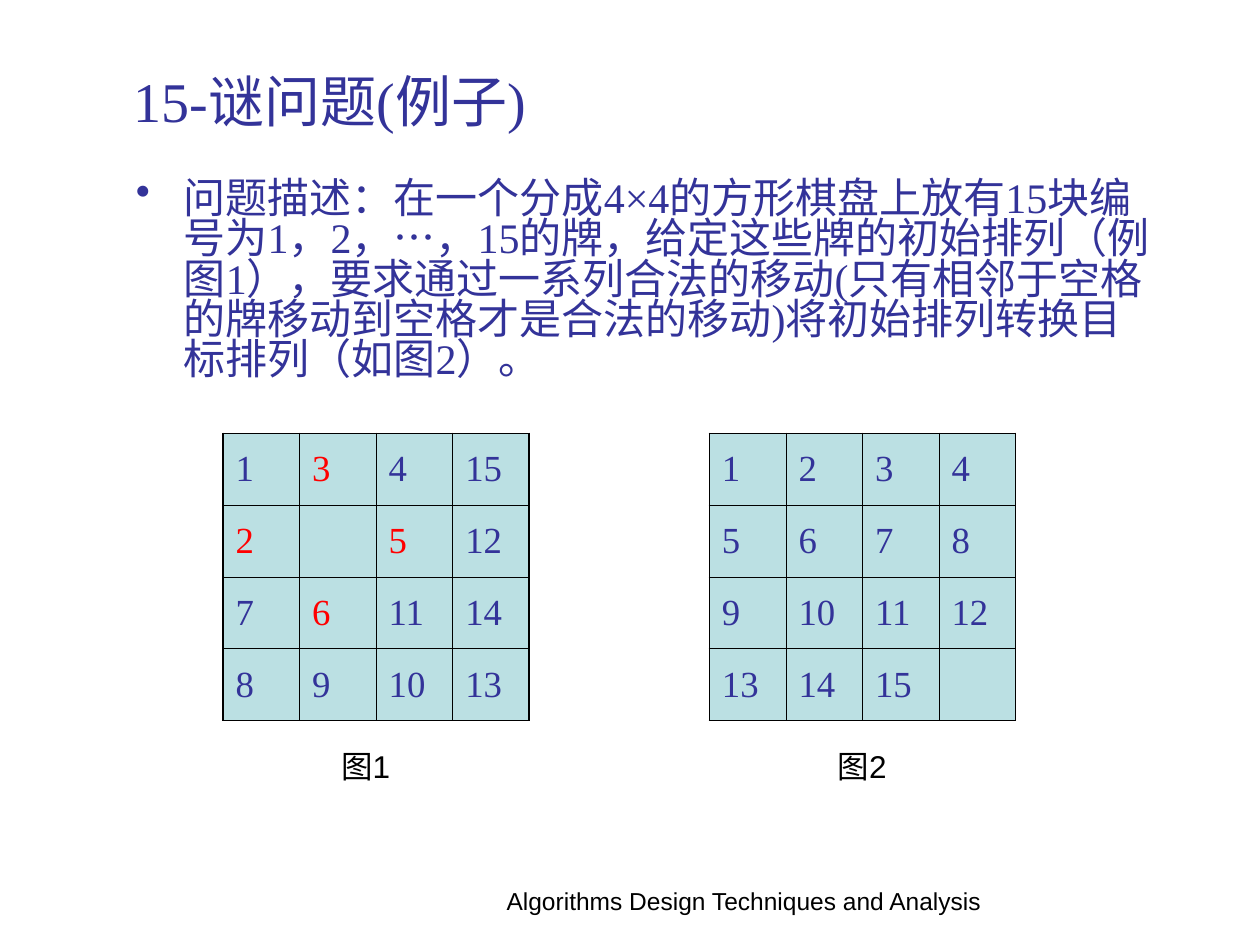
from lxml.etree import SubElement
from pptx import Presentation
from pptx.dml.color import RGBColor
from pptx.enum.text import MSO_ANCHOR, PP_ALIGN
from pptx.oxml.ns import qn
from pptx.util import Inches, Pt

COLORS = {"text": "333399", "moved": "FF0000", "tile": "BBE0E3", "line": "000000"}
SERIF, SANS = "Times New Roman", "Arial"
SIZE = 4


def write(frame, text, size, font, color, align=PP_ALIGN.LEFT):
    frame.text = text
    para = frame.paragraphs[0]
    para.alignment = align
    for span in para.runs:
        span.font.size = Pt(size)
        span.font.name = font
        span.font.color.rgb = RGBColor.from_string(COLORS[color])
    return para


def add_border(cell, side, width):
    line = SubElement(cell._tc.get_or_add_tcPr(), qn(f"a:ln{side}"), w=str(Pt(width)))
    fill = SubElement(line, qn("a:solidFill"))
    SubElement(fill, qn("a:srgbClr"), val=COLORS["line"])


deck = Presentation()
deck.slide_width, deck.slide_height = Inches(10), Inches(7.5)
page = deck.slides.add_slide(deck.slide_layouts[5])

title = page.shapes.title
title.left, title.top = Inches(0.96), Inches(0.29)
title.width, title.height = Inches(8.61), Inches(1.01)
title.text_frame.vertical_anchor = MSO_ANCHOR.MIDDLE
write(title.text_frame, "15-谜问题(例子)", 32, SERIF, "text")

body = page.shapes.add_textbox(Inches(0.98), Inches(1.39), Inches(8.35), Inches(1.81))
body.text_frame.word_wrap = True
description = (
    "问题描述：在一个分成4×4的方形棋盘上放有15块编号为1，2，…，15的牌，"
    "给定这些牌的初始排列（例图1），要求通过一系列合法的移动"
    "(只有相邻于空格的牌移动到空格才是合法的移动)将初始排列转换目标排列（如图2）。"
)
para = write(body.text_frame, description, 24, SERIF, "text")
para.line_spacing = 0.8
properties = para._p.get_or_add_pPr()
properties.set("marL", str(Inches(0.38)))
properties.set("indent", str(-Inches(0.38)))
bullet_color = SubElement(properties, qn("a:buClr"))
SubElement(bullet_color, qn("a:srgbClr"), val=COLORS["text"])
SubElement(properties, qn("a:buChar"), char="•")

start = [1, 3, 4, 15, 2, "", 5, 12, 7, 6, 11, 14, 8, 9, 10, 13]
goal = [*range(1, 16), ""]
boards = [
    (1.77, start, {2, 3, 5, 6}, 2.61, "图1"),
    (5.63, goal, set(), 6.55, "图2"),
]
for left, tiles, moved, caption_left, caption_text in boards:
    frame = page.shapes.add_table(
        SIZE, SIZE, Inches(left), Inches(3.44), Inches(2.43), Inches(2.28)
    )
    board = frame.table
    board.first_row = board.horz_banding = False
    for index, tile in enumerate(tiles):
        row, column = divmod(index, SIZE)
        cell = board.cell(row, column)
        cell.vertical_anchor = MSO_ANCHOR.MIDDLE
        write(cell.text_frame, str(tile), 21, SERIF, "moved" if tile in moved else "text")
        outer = {"L": column == 0, "R": column == SIZE - 1, "T": row == 0, "B": row == SIZE - 1}
        for side, on_edge in outer.items():
            add_border(cell, side, 1.08 if on_edge else 0.45)
        cell.fill.solid()
        cell.fill.fore_color.rgb = RGBColor.from_string(COLORS["tile"])

    caption = page.shapes.add_textbox(
        Inches(caption_left), Inches(5.88), Inches(0.65), Inches(0.4)
    )
    caption.text_frame.word_wrap = False
    write(caption.text_frame, caption_text, 18, SANS, "line")

footer = page.shapes.add_textbox(Inches(3.82), Inches(6.98), Inches(4.17), Inches(0.47))
footer.text_frame.word_wrap = True
write(
    footer.text_frame, "Algorithms Design Techniques and Analysis", 14, SANS, "line",
    PP_ALIGN.CENTER,
)

deck.save("out.pptx")
